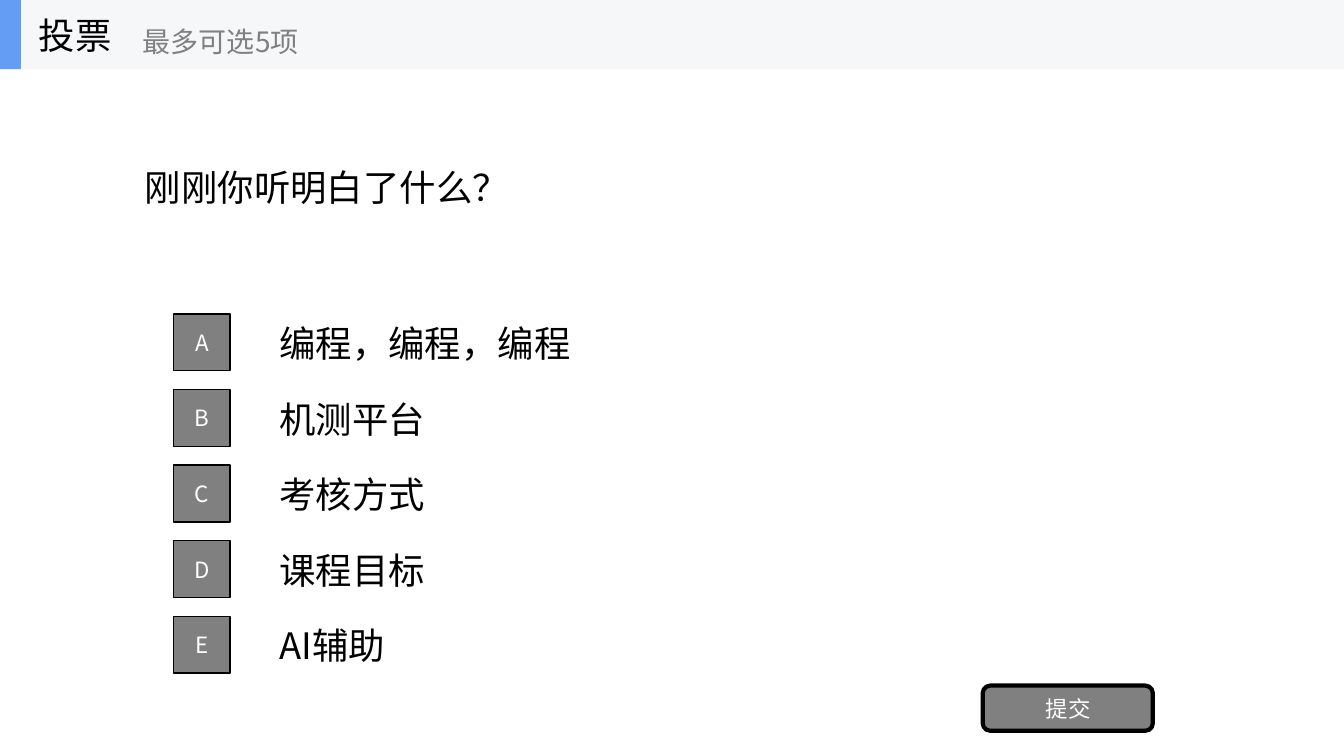
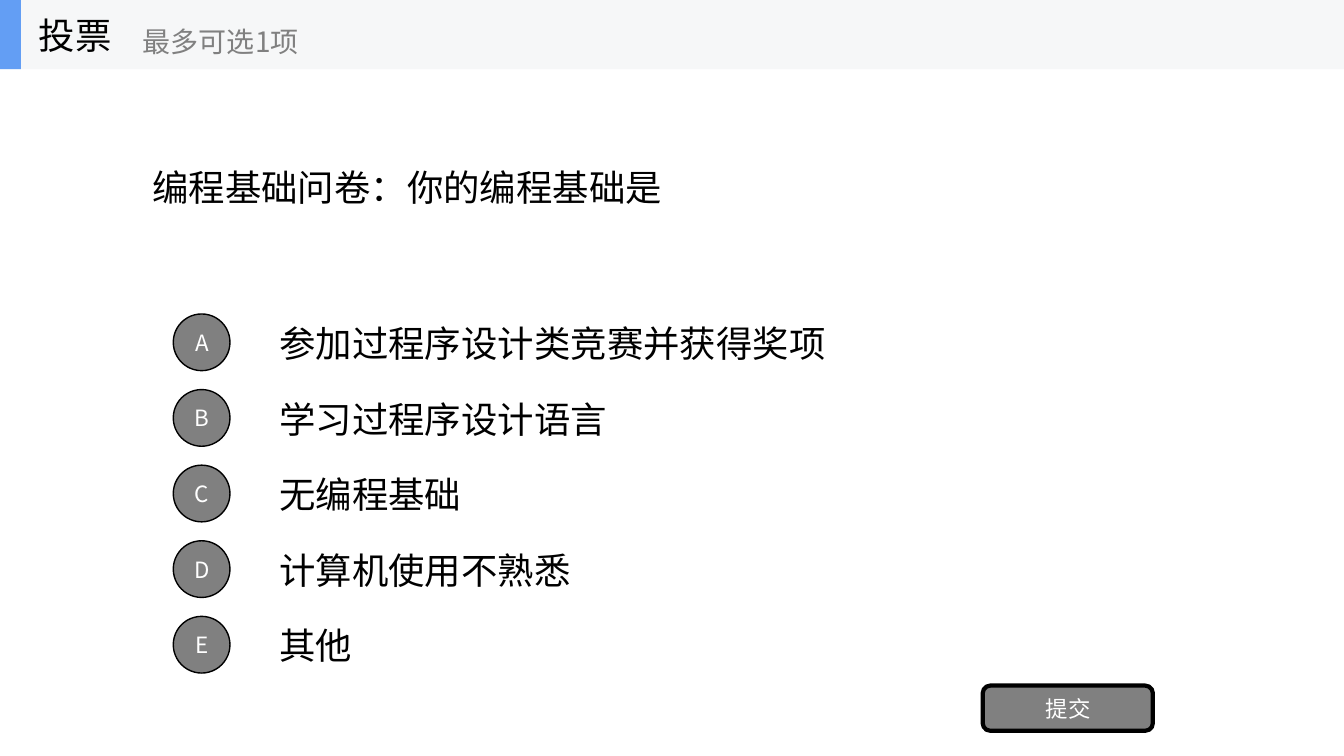
from lxml import etree
from pptx import Presentation
from pptx.dml.color import RGBColor
from pptx.enum.shapes import MSO_SHAPE as Shape
from pptx.enum.text import MSO_ANCHOR as Anchor, MSO_AUTO_SIZE as AutoSize, PP_ALIGN as Align
from pptx.oxml.ns import qn
from pptx.util import Emu, Pt

EMU_PER_PX = 9525
FONT = "Noto Sans CJK SC"
BLACK = RGBColor(0x00, 0x00, 0x00)
WHITE = RGBColor(0xFF, 0xFF, 0xFF)
GREY = RGBColor(0x80, 0x80, 0x80)
BAND = RGBColor(0xF6, 0xF7, 0xF8)
ACCENT = RGBColor(0x63, 0x9E, 0xF4)

SLIDE_WIDTH, SLIDE_HEIGHT = 1280, 720
BAND_HEIGHT = 66
INSET = 10
OPTION_TOP, OPTION_STEP, OPTION_HEIGHT = 293, 72, 67
BADGE_SIZE = 54

POLLS = [
    {
        "question": "刚刚你听明白了什么？",
        "limit": "最多可选5项",
        "badge": Shape.RECTANGLE,
        "options": ["编程，编程，编程", "机测平台", "考核方式", "课程目标", "AI辅助"],
    },
    {
        "question": "编程基础问卷：你的编程基础是",
        "question_inset": 17,
        "limit": "最多可选1项",
        "badge": Shape.OVAL,
        "options": ["参加过程序设计类竞赛并获得奖项", "学习过程序设计语言", "无编程基础",
                    "计算机使用不熟悉", "其他"],
    },
]


def px(value):
    return Emu(value * EMU_PER_PX)


def box(left, top, width, height):
    return px(left), px(top), px(width), px(height)


def write(shape, text, size=26, color=BLACK, align=Align.LEFT, inset=INSET):
    """Put one vertically centred paragraph into a shape."""
    frame = shape.text_frame
    frame.word_wrap = True
    frame.auto_size = AutoSize.NONE
    frame.vertical_anchor = Anchor.MIDDLE
    frame.margin_left = px(inset)
    paragraph = frame.paragraphs[0]
    paragraph.alignment = align
    run = paragraph.add_run()
    run.text = text
    run.font.size = Pt(size)
    run.font.color.rgb = color
    run.font.name = FONT
    east_asian = etree.SubElement(run._r.get_or_add_rPr(), qn("a:ea"))
    east_asian.set("typeface", FONT)


def add_text(shapes, area, text, **text_format):
    write(shapes.add_textbox(*box(*area)), text, **text_format)


def add_block(shapes, kind, area, fill, line_width=0):
    """Add a filled shape, outlined in black if line_width is given."""
    shape = shapes.add_shape(kind, *box(*area))
    shape.shadow.inherit = False
    shape.fill.solid()
    shape.fill.fore_color.rgb = fill
    if line_width:
        shape.line.color.rgb = BLACK
        shape.line.width = Pt(line_width)
    else:
        shape.line.fill.background()
    return shape


def add_button(shapes, kind, area, text, line_width):
    button = add_block(shapes, kind, area, GREY, line_width)
    write(button, text, size=16, color=WHITE, align=Align.CENTER)


def add_question(slide, text, inset):
    title = slide.shapes.title
    title.left, title.top, title.width, title.height = box(128, BAND_HEIGHT, 1024, 225)
    write(title, text, inset=inset)


def add_options(shapes, options, badge):
    for index, (letter, text) in enumerate(zip("ABCDE", options)):
        top = OPTION_TOP + index * OPTION_STEP
        badge_top = top + (OPTION_HEIGHT - BADGE_SIZE) // 2
        add_text(shapes, (256, top, 896, OPTION_HEIGHT), text)
        add_button(shapes, badge, (165, badge_top, BADGE_SIZE, BADGE_SIZE), letter, 1)


def add_header(slide, limit):
    shapes = slide.shapes.add_group_shape().shapes
    add_block(shapes, Shape.RECTANGLE, (0, 0, SLIDE_WIDTH, BAND_HEIGHT), BAND)
    add_block(shapes, Shape.RECTANGLE, (0, 0, 20, BAND_HEIGHT), ACCENT)
    add_text(shapes, (27, 0, 200, BAND_HEIGHT), "投票")
    add_text(shapes, (126, 12, 240, 54), limit, size=20, color=GREY)


def add_poll(presentation, question, limit, badge, options, question_inset=INSET):
    slide = presentation.slides.add_slide(presentation.slide_layouts.get_by_name("Title Only"))
    add_question(slide, question, question_inset)
    add_options(slide.shapes, options, badge)
    add_button(slide.shapes, Shape.ROUNDED_RECTANGLE, (936, 653, 162, 43), "提交", 3)
    add_header(slide, limit)


def main():
    presentation = Presentation()
    presentation.slide_width = px(SLIDE_WIDTH)
    presentation.slide_height = px(SLIDE_HEIGHT)
    for poll in POLLS:
        add_poll(presentation, **poll)
    presentation.save("out.pptx")


if __name__ == "__main__":
    main()
